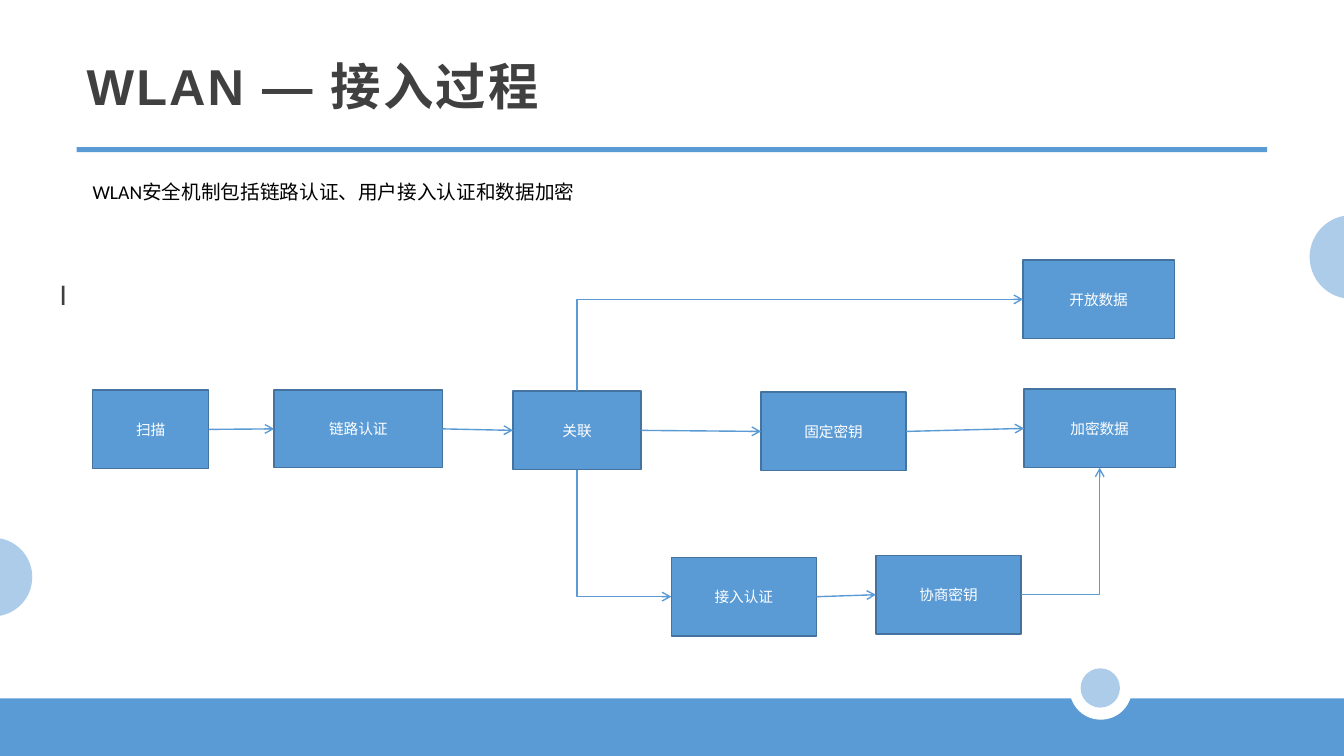
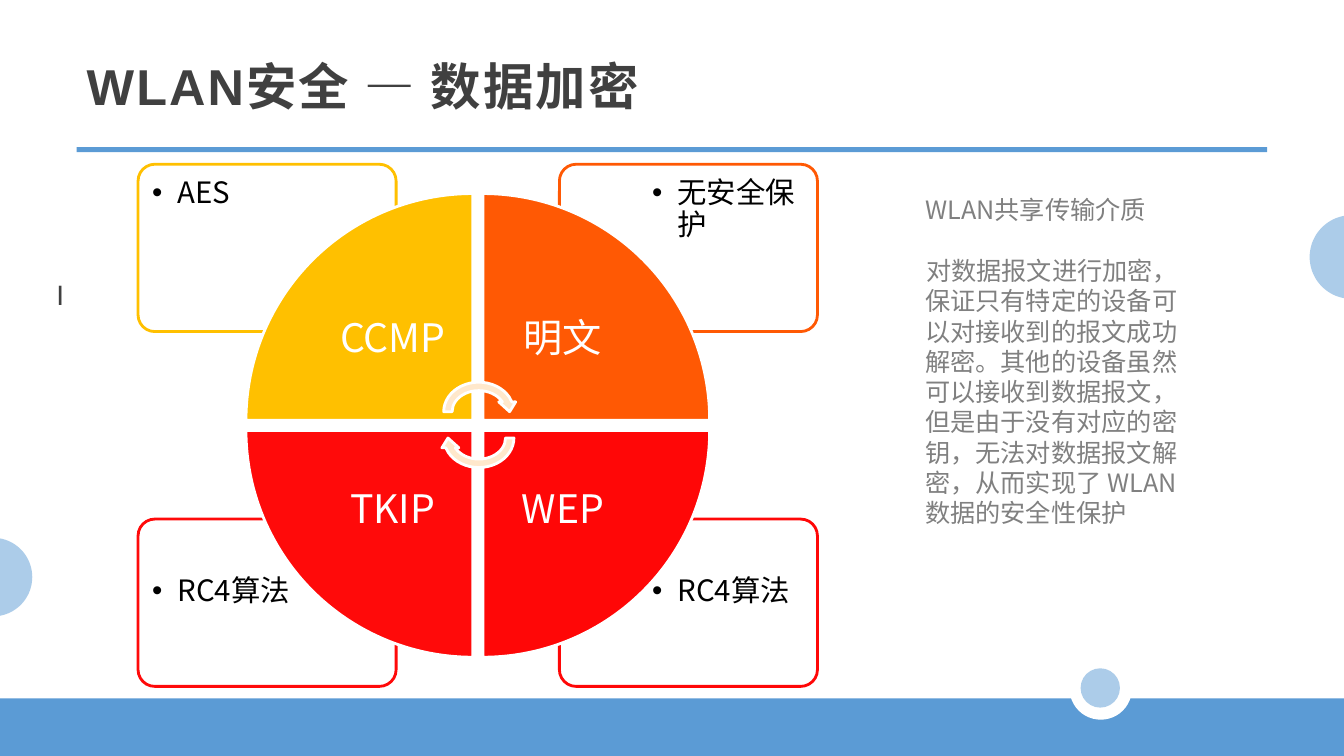
"""Build two WLAN slides: the access process and data encryption."""
import dataclasses
import math
import typing

import lxml.etree
import pptx
import pptx.dml.color
import pptx.enum.shapes
import pptx.enum.text
import pptx.oxml.ns
import pptx.util

SHAPES = pptx.enum.shapes.MSO_SHAPE
ALIGN = pptx.enum.text.PP_ALIGN
ANCHOR = pptx.enum.text.MSO_ANCHOR
CELL = pptx.util.Inches(0.1)
SLIDE_COLUMNS, SLIDE_ROWS = 133.33, 75

BLUE, BLUE_EDGE = "5B9BD5", "43739E"
WHITE, BLACK, DARK, GRAY = "FFFFFF", "000000", "404040", "808080"
YELLOW, ORANGE, RED, DEEP_RED, CREAM = "FFC000", "FF5904", "FF0707", "FF0A0A", "FFE8CC"
CHINESE_FONT = "Noto Sans CJK SC"
TOP, LEFT, BOTTOM, RIGHT = range(4)


class Area(typing.NamedTuple):
    column: float
    row: float
    columns: float
    rows: float


@dataclasses.dataclass(frozen=True)
class TextStyle:
    size: float
    color: str
    font: str = CHINESE_FONT
    bold: bool = False
    tracking: float = 0
    line_spacing: float = 1.0
    align: ALIGN = ALIGN.LEFT
    anchor: ANCHOR = ANCHOR.TOP
    margin: float = 0
    indent: float = 0
    bullet: bool = False


@dataclasses.dataclass(frozen=True)
class Step:
    text: str
    area: Area


@dataclasses.dataclass(frozen=True)
class Link:
    start: str
    start_site: int
    end: str
    end_site: int
    arrow: str = "tailEnd"
    bent: bool = False


@dataclasses.dataclass(frozen=True)
class Quadrant:
    name: str
    detail: str
    color: str
    right: bool
    lower: bool
    rotation: int


TITLE = TextStyle(36, DARK, "Arial", True, 1.5, 1.1, anchor=ANCHOR.MIDDLE)
BODY = TextStyle(20, DARK, "Arial", False, 1.5, 1.1, anchor=ANCHOR.MIDDLE)
INTRO = TextStyle(14, BLACK, "Calibri")
STEP = TextStyle(10.5, WHITE, "Calibri", align=ALIGN.CENTER, anchor=ANCHOR.MIDDLE)
DETAIL = TextStyle(21, BLACK, line_spacing=0.9, margin=1.1, indent=2.5, bullet=True)
QUADRANT = TextStyle(28, WHITE, line_spacing=0.9, align=ALIGN.CENTER,
                     anchor=ANCHOR.MIDDLE, margin=2.2)
SIDE = TextStyle(18, GRAY, indent=1)

STEPS = (
    Step("扫描", Area(9.2, 38.7, 11.5, 7.8)),
    Step("链路认证", Area(27.2, 38.7, 16.7, 7.7)),
    Step("关联", Area(50.9, 38.8, 12.7, 7.8)),
    Step("固定密钥", Area(75.5, 38.9, 14.4, 7.8)),
    Step("加密数据", Area(101.6, 38.6, 15, 7.8)),
    Step("开放数据", Area(101.5, 25.8, 15, 7.8)),
    Step("接入认证", Area(66.6, 55.3, 14.4, 7.8)),
    Step("协商密钥", Area(86.9, 55.1, 14.4, 7.8)),
)
LINKS = (
    Link("扫描", RIGHT, "链路认证", LEFT),
    Link("链路认证", RIGHT, "关联", LEFT),
    Link("关联", RIGHT, "固定密钥", LEFT),
    Link("固定密钥", RIGHT, "加密数据", LEFT),
    Link("接入认证", RIGHT, "协商密钥", LEFT),
    Link("开放数据", LEFT, "关联", TOP, "headEnd", True),
    Link("接入认证", LEFT, "关联", BOTTOM, "headEnd", True),
    Link("协商密钥", RIGHT, "加密数据", BOTTOM, bent=True),
)
QUADRANTS = (
    Quadrant("CCMP", "AES", YELLOW, False, False, 0),
    Quadrant("明文", "无安全保护", ORANGE, True, False, 90),
    Quadrant("WEP", "RC4算法", RED, True, True, 180),
    Quadrant("TKIP", "RC4算法", DEEP_RED, False, True, 270),
)
CYCLE_COLUMN, CYCLE_ROW = 47.4, 42.2


def cells(count: float) -> int:
    """Convert a count of grid cells to a length."""
    return round(count * CELL)


def add_xml(parent, tag: str, **attributes: str):
    """Append one XML child with the given attributes."""
    element = lxml.etree.SubElement(parent, pptx.oxml.ns.qn(tag))
    for key, value in attributes.items():
        element.set(key, value)
    return element


def paint(target, color: str) -> None:
    """Give a fill, line or font a solid colour."""
    rgb = pptx.dml.color.RGBColor.from_string(color)
    if hasattr(target, "solid"):
        target.solid()
        target.fore_color.rgb = rgb
    else:
        target.color.rgb = rgb


def finish(shape, color: str, opacity: int = 100, edge: str = "", width: float = 1) -> None:
    """Set the fill, transparency and outline of a shape."""
    shape.shadow.inherit = False
    paint(shape.fill, color)
    if opacity < 100:
        tone = shape.element.spPr.find(pptx.oxml.ns.qn("a:solidFill"))[0]
        add_xml(tone, "a:alpha", val=str(opacity * 1000))
    if edge:
        paint(shape.line, edge)
        shape.line.width = pptx.util.Pt(width)
    else:
        shape.line.fill.background()


def place(shape, area: Area) -> None:
    """Move and size a shape on the grid."""
    shape.left, shape.top, shape.width, shape.height = map(cells, area)


def write(shape, lines: typing.Sequence[str], style: TextStyle) -> None:
    """Fill a shape with styled paragraphs."""
    frame = shape.text_frame
    frame.text = "\n".join(lines)
    frame.word_wrap = True
    frame.auto_size = pptx.enum.text.MSO_AUTO_SIZE.NONE
    frame.vertical_anchor = style.anchor
    if style.margin:
        frame.margin_left = frame.margin_right = cells(style.margin)
        frame.margin_top = frame.margin_bottom = cells(style.margin)
    for paragraph in frame.paragraphs:
        paragraph.alignment = style.align
        paragraph.line_spacing = style.line_spacing
        paragraph.space_before = paragraph.space_after = pptx.util.Pt(0)
        properties = paragraph._p.get_or_add_pPr()
        properties.set("marL", str(cells(style.indent)))
        properties.set("indent", str(-cells(style.indent)))
        if style.bullet:
            add_xml(properties, "a:buFont", typeface="Arial")
            add_xml(properties, "a:buChar", char="•")
        else:
            add_xml(properties, "a:buNone")
        for run in paragraph.runs:
            run.font.size = pptx.util.Pt(style.size)
            run.font.bold = style.bold
            run.font.name = style.font
            paint(run.font.fill, style.color)
            run_properties = run._r.get_or_add_rPr()
            run_properties.set("spc", str(round(style.tracking * 100)))
            add_xml(run_properties, "a:ea", typeface=CHINESE_FONT)


def add_shape(slide, kind, area: Area, color: str, **look):
    """Add a finished preset shape."""
    shape = slide.shapes.add_shape(kind, *map(cells, area))
    finish(shape, color, **look)
    return shape


def add_text(slide, area: Area, lines: typing.Sequence[str], style: TextStyle):
    """Add a text box."""
    box = slide.shapes.add_textbox(*map(cells, area))
    write(box, lines, style)
    return box


def add_edge_disc(slide, edge: float, inward: int, row: float, radius: float, depth: float) -> None:
    """Add the visible part of a disc cut by the slide's edge."""
    limit = math.acos((radius - depth) / radius)
    angles = [limit * (step / 20 - 1) for step in range(41)]
    center = edge + inward * (depth - radius)
    points = [(cells(center + inward * radius * math.cos(angle)),
               cells(row + radius * math.sin(angle))) for angle in angles]
    builder = slide.shapes.build_freeform(*points[0])
    builder.add_line_segments(points[1:], close=True)
    finish(builder.convert_to_shape(), BLUE, opacity=50)


def add_base_slide(presentation, title: str, title_columns: float, body_column: float):
    """Add a slide with its title, marker text and shared decoration."""
    slide = presentation.slides.add_slide(presentation.slide_layouts[1])
    body = slide.placeholders[1]
    place(slide.shapes.title, Area(7.6, 1.7, title_columns, 12.9))
    place(body, Area(body_column, 17.4, 58.4, 23.3))
    write(slide.shapes.title, [title], TITLE)
    write(body, ["I"], BODY)
    add_shape(slide, SHAPES.RECTANGLE, Area(0, 69.3, SLIDE_COLUMNS, SLIDE_ROWS - 69.3), BLUE)
    add_shape(slide, SHAPES.OVAL, Area(106.1, 65.2, 6.2, 6.2), WHITE)
    add_shape(slide, SHAPES.OVAL, Area(107.2, 66.3, 3.9, 3.9), BLUE, opacity=50)
    add_edge_disc(slide, SLIDE_COLUMNS, -1, 25.5, 4.15, 3.4)
    add_edge_disc(slide, 0, 1, 57.25, 3.9, 3.2)
    add_shape(slide, SHAPES.RECTANGLE, Area(7.6, 14.6, 118.1, 0.5), BLUE)
    return slide


def add_link(slide, link: Link, boxes: dict) -> None:
    """Connect two steps with an arrow."""
    kind = pptx.enum.shapes.MSO_CONNECTOR
    connector = slide.shapes.add_connector(kind.ELBOW if link.bent else kind.STRAIGHT, 0, 0, 0, 0)
    connector.begin_connect(boxes[link.start], link.start_site)
    connector.end_connect(boxes[link.end], link.end_site)
    paint(connector.line, BLUE)
    connector.line.width = pptx.util.Pt(1)
    properties = connector.element.spPr
    if link.bent:
        properties.find(pptx.oxml.ns.qn("a:prstGeom")).set("prst", "bentConnector2")
    add_xml(connector.line._get_or_add_ln(), f"a:{link.arrow}", type="arrow")
    add_xml(properties, "a:effectLst")


def mirror(quadrant: Quadrant, gap_columns: float, gap_rows: float,
           columns: float, rows: float) -> Area:
    """Place an area in its quadrant, at a distance from the cycle's centre."""
    column = gap_columns if quadrant.right else -gap_columns - columns
    row = gap_rows if quadrant.lower else -gap_rows - rows
    return Area(CYCLE_COLUMN + column, CYCLE_ROW + row, columns, rows)


def build_access(presentation) -> None:
    """Build the access process slide."""
    slide = add_base_slide(presentation, "WLAN — 接入过程", 82.4, 4.9)
    add_text(slide, Area(8.2, 17.4, 63.3, 3.4), ["WLAN安全机制包括链路认证、用户接入认证和数据加密"], INTRO)
    boxes = {}
    for step in STEPS:
        boxes[step.text] = add_shape(slide, SHAPES.RECTANGLE, step.area, BLUE, edge=BLUE_EDGE)
        write(boxes[step.text], [step.text], STEP)
    for link in LINKS:
        add_link(slide, link, boxes)


def build_encryption(presentation) -> None:
    """Build the data encryption slide."""
    slide = add_base_slide(presentation, "WLAN安全 — 数据加密", 101.6, 4.6)
    for quadrant in QUADRANTS:
        card = add_shape(slide, SHAPES.ROUNDED_RECTANGLE, mirror(quadrant, 8.1, 9.3, 25.6, 16.6),
                         WHITE, opacity=90, edge=quadrant.color, width=2)
        card.adjustments[0] = 0.1
        add_text(slide, mirror(quadrant, 16.2, 13.9, 17.2, 11.7), [quadrant.detail], DETAIL)
    for quadrant in QUADRANTS:
        wedge = add_shape(slide, SHAPES.PIE_WEDGE, mirror(quadrant, 0.5, 0.5, 22.5, 22.5),
                          quadrant.color, edge=WHITE, width=2)
        wedge.rotation = quadrant.rotation
        add_text(slide, mirror(quadrant, 0.5, 0.5, 15.9, 15.9), [quadrant.name], QUADRANT)
    for row, rotation in ((37.5, 0), (40.1, 180)):
        arrow = add_shape(slide, SHAPES.CIRCULAR_ARROW, Area(43.6, row, 7.8, 6.7),
                          CREAM, edge=WHITE, width=2)
        arrow.rotation = rotation
    side = add_text(slide, Area(90.8, 18.8, 27.8, 37.3), [
        "WLAN共享传输介质",
        "对数据报文进行加密，保证只有特定的设备可以对接收到的报文成功解密。其他的设备虽然可以接收到数据报文，"
        "但是由于没有对应的密钥，无法对数据报文解密，从而实现了 WLAN数据的安全性保护",
    ], SIDE)
    explanation = side.text_frame.paragraphs[1]
    explanation.space_before = pptx.util.Pt(22)
    explanation._p.get_or_add_pPr().set("marL", "0")
    explanation._p.get_or_add_pPr().set("indent", str(cells(0.1)))


def main() -> None:
    """Build and save the presentation."""
    presentation = pptx.Presentation()
    presentation.slide_width = cells(SLIDE_COLUMNS)
    presentation.slide_height = cells(SLIDE_ROWS)
    build_access(presentation)
    build_encryption(presentation)
    presentation.save("out.pptx")


if __name__ == "__main__":
    main()
